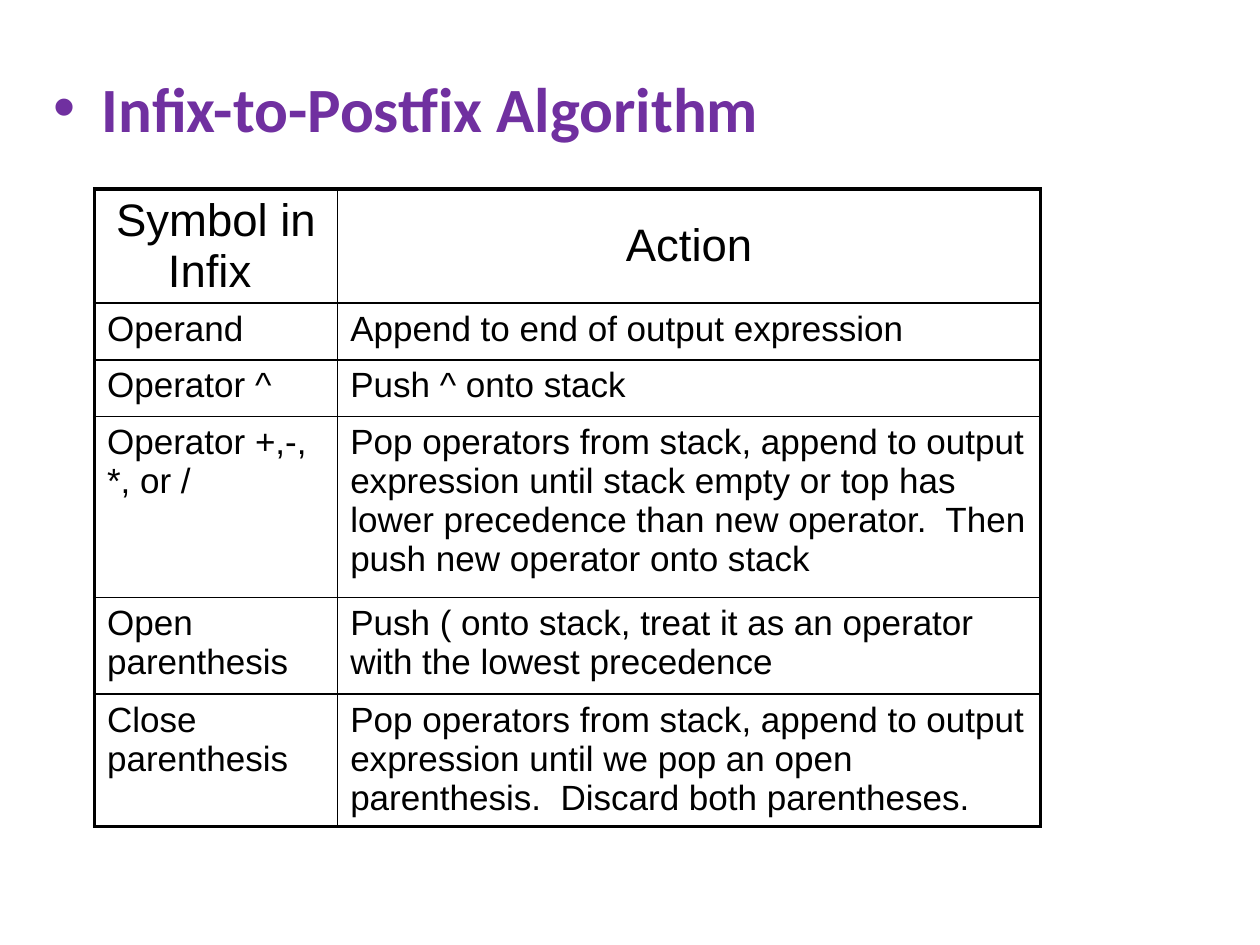
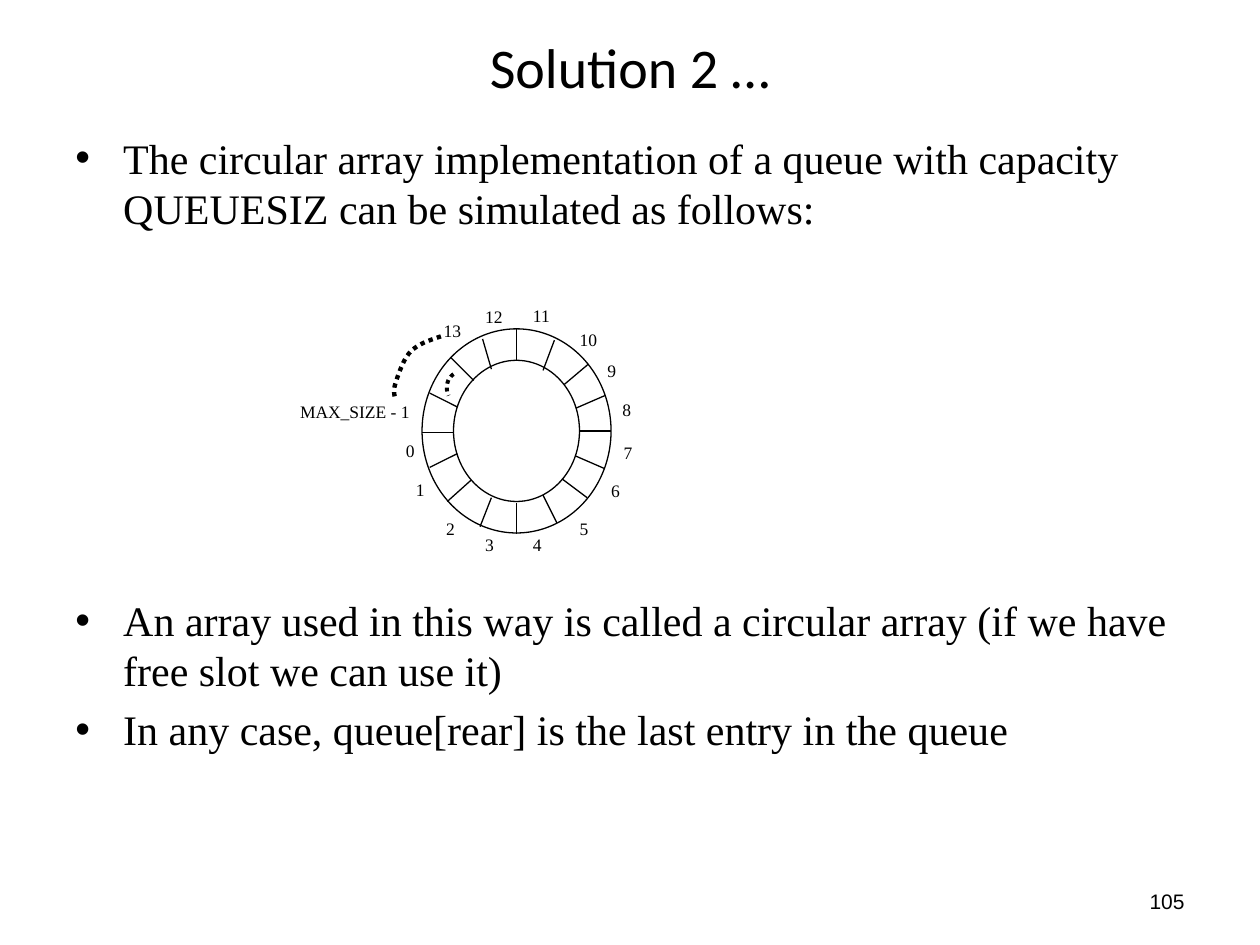
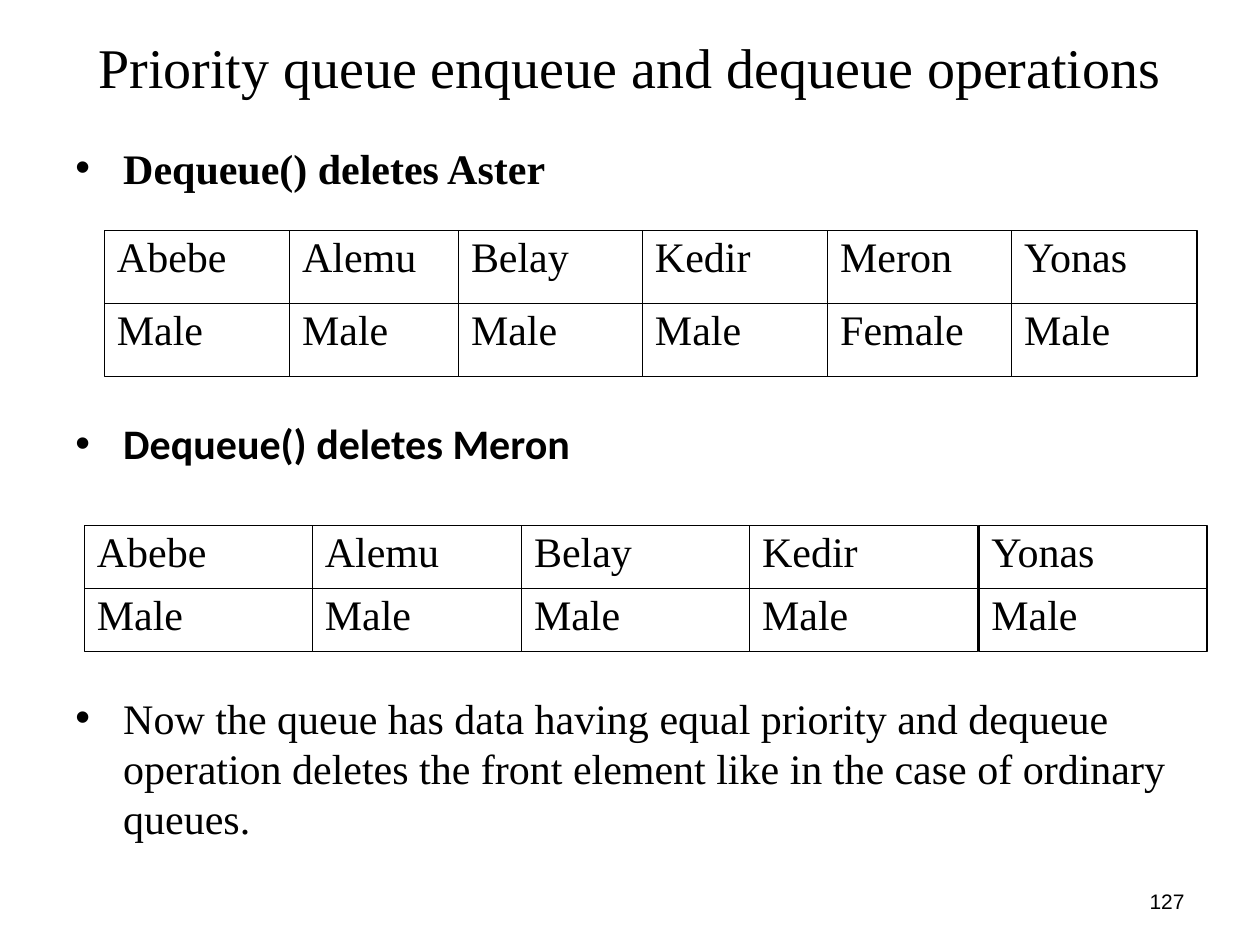
from lxml.etree import SubElement
from pptx import Presentation
from pptx.dml.color import RGBColor
from pptx.enum.dml import MSO_LINE_DASH_STYLE as Dash
from pptx.enum.shapes import MSO_CONNECTOR as Connector, MSO_SHAPE as Shape
from pptx.enum.text import MSO_ANCHOR as Anchor, PP_ALIGN as Align
from pptx.oxml.ns import qn
from pptx.util import Inches, Pt

# Shared style
BLACK = RGBColor(0x00, 0x00, 0x00)
WHITE = RGBColor(0xFF, 0xFF, 0xFF)
PURPLE = RGBColor(0x70, 0x30, 0xA0)
SANS, SERIF, HEADING = "Arial", "Times New Roman", "Calibri"
TITLE_BOX = (0.5, 0.3, 9, 0.45)
NUMBER_BOX = (7.17, 6.95, 2.33, 0.4)
BULLET_INDENT = 0.38
THIN = 0.75

# Slide 1: algorithm table
ALGORITHM_ROWS = [
    ("Symbol in Infix ", "Action"),
    ("Operand", "Append to end of output expression"),
    ("Operator ^", "Push ^ onto stack"),
    ("Operator +,-,\n*, or /",
     "Pop operators from stack, append to output expression until stack empty "
     "or top has lower precedence than new operator.  Then push new operator "
     "onto stack"),
    ("Open parenthesis",
     "Push ( onto stack, treat it as an operator with the lowest precedence"),
    ("Close parenthesis",
     "Pop operators from stack, append to output expression until we pop an "
     "open parenthesis.  Discard both parentheses."),
]
ALGORITHM_WIDTHS = [1.93, 5.58]
ALGORITHM_HEIGHTS = [0.9, 0.45, 0.45, 1.43, 0.77, 1.03]

# Slide 2: bullets as (text, space before in points, style changes)
CIRCULAR_BULLETS = [
    ("The circular array implementation of a queue with capacity QUEUESIZ can "
     "be simulated as follows:", 4.8, {}),
    ("An array used in this way is called a circular array (if we have free "
     "slot we can use it)", 206.5, {}),
    ("In any case, queue[rear] is the last entry in the queue", 4.8, {}),
]
RING_BOX = (3.35, 2.61, 1.5, 1.62)
RING_THICKNESS = 0.25
SLOT_DIVIDERS = [
    (4.1, 2.61, 4.1, 2.86), (4.6, 3.42, 4.85, 3.42), (3.35, 3.43, 3.6, 3.43),
    (4.1, 3.99, 4.1, 4.24), (3.9, 3.95, 3.81, 4.18), (3.74, 3.81, 3.55, 3.98),
    (3.63, 3.6, 3.41, 3.71), (3.41, 3.12, 3.63, 3.23), (4.8, 3.14, 4.57, 3.24),
    (3.58, 2.84, 3.76, 3.02), (3.83, 2.69, 3.9, 2.93), (4.4, 2.7, 4.31, 2.94),
    (4.67, 2.89, 4.48, 3.05), (4.31, 3.93, 4.42, 4.15), (4.46, 3.8, 4.66, 3.95),
    (4.57, 3.62, 4.8, 3.72),
]
# Slot labels as (text, left, top, width, height, alignment)
SLOT_LABELS = [
    ("0", 3.17, 3.49, 0.12, 0.12, Align.RIGHT),
    ("1", 3.25, 3.8, 0.12, 0.12, Align.RIGHT),
    ("2", 3.54, 4.11, 0.12, 0.12, Align.LEFT),
    ("3", 3.85, 4.24, 0.12, 0.12, Align.LEFT),
    ("4", 4.23, 4.24, 0.12, 0.12, Align.LEFT),
    ("5", 4.6, 4.11, 0.12, 0.12, Align.LEFT),
    ("6", 4.85, 3.81, 0.12, 0.12, Align.LEFT),
    ("7", 4.95, 3.51, 0.12, 0.12, Align.LEFT),
    ("8", 4.94, 3.17, 0.12, 0.12, Align.LEFT),
    ("9", 4.82, 2.86, 0.12, 0.12, Align.LEFT),
    ("10", 4.6, 2.61, 0.38, 0.12, Align.LEFT),
    ("11", 4.23, 2.42, 0.25, 0.12, Align.LEFT),
    ("12", 3.85, 2.43, 0.25, 0.12, Align.LEFT),
    ("13", 3.41, 2.54, 0.25, 0.12, Align.RIGHT),
    ("MAX_SIZE - 1", 2, 3.18, 1.25, 0.17, Align.RIGHT),
]
# Dotted curves as (line width, chain of Bezier points)
DOTTED_CURVES = [
    (2.25, [(3.6, 2.97), (3.55, 3), (3.53, 3.08), (3.56, 3.14)]),
    (2.5, [(3.5, 2.67), (3.41, 2.7), (3.32, 2.73), (3.26, 2.79), (3.2, 2.85),
           (3.16, 2.98), (3.14, 3.04), (3.12, 3.1), (3.13, 3.14), (3.14, 3.17)]),
]

# Slide 3: bullets and queue contents
PRIORITY_BULLETS = [
    ("Dequeue() deletes Aster", 4.8, {"bold": True}),
    ("Dequeue() deletes Meron", 128.6, {"bold": True, "font": HEADING}),
    ("Now the queue has data having equal priority and dequeue operation "
     "deletes the front element like in the case of ordinary queues.", 128, {}),
]
# Queues as (top, box width, box height, box lefts, rows)
QUEUES = [
    (1.83, 1.47, 0.58, [0.83, 2.3, 3.64, 5.1, 6.57, 8.03],
     [("Abebe", "Alemu", "Belay", "Kedir", "Meron", "Yonas"),
      ("Male", "Male", "Male", "Male", "Female", "Male")]),
    (4.17, 1.81, 0.5, [0.67, 2.48, 4.14, 5.95, 7.77],
     [("Abebe", "Alemu", "Belay", "Kedir", "Yonas"), ("Male",) * 5]),
]


def add_text(paragraph, text, size, font=SERIF, color=BLACK, bold=False):
    for index, line in enumerate(text.split("\n")):
        if index:
            paragraph.add_line_break()
        run = paragraph.add_run()
        run.text = line
        run.font.size = Pt(size)
        run.font.name = font
        run.font.bold = bold
        run.font.color.rgb = color


def add_box(slide, box):
    shape = slide.shapes.add_textbox(*map(Inches, box))
    shape.text_frame.word_wrap = True
    return shape.text_frame


def add_line_text(slide, box, text, size, font, alignment):
    frame = add_box(slide, box)
    frame.vertical_anchor = Anchor.MIDDLE
    frame.paragraphs[0].alignment = alignment
    add_text(frame.paragraphs[0], text, size, font)


def add_heading(slide, title, font, number):
    add_line_text(slide, NUMBER_BOX, number, 12, SANS, Align.RIGHT)
    add_line_text(slide, TITLE_BOX, title, 32, font, Align.CENTER)


def add_bullets(slide, box, bullets, size=24):
    frame = add_box(slide, box)
    for index, (text, space, style) in enumerate(bullets):
        paragraph = frame.add_paragraph() if index else frame.paragraphs[0]
        paragraph.space_before = Pt(space)
        properties = paragraph._p.get_or_add_pPr()
        properties.set("marL", str(Inches(BULLET_INDENT)))
        properties.set("indent", str(-Inches(BULLET_INDENT)))
        SubElement(properties, qn("a:buFont"), typeface=SANS)
        SubElement(properties, qn("a:buChar"), char="•")
        add_text(paragraph, text, size, **style)


def set_border(cell, side, width):
    line = SubElement(cell._tc.get_or_add_tcPr(), qn("a:ln" + side), w=str(Pt(width)))
    fill = SubElement(line, qn("a:solidFill"))
    SubElement(fill, qn("a:srgbClr"), val=str(BLACK))


def add_grid(slide, left, top, widths, heights, outer, inner):
    """Add a plain white table with outer and inner border widths."""
    table = slide.shapes.add_table(
        len(heights), len(widths), Inches(left), Inches(top),
        Inches(sum(widths)), Inches(sum(heights))).table
    table.first_row = table.horz_banding = False
    for column, width in zip(table.columns, widths):
        column.width = Inches(width)
    for row, height in zip(table.rows, heights):
        row.height = Inches(height)
    last_row, last_column = len(heights) - 1, len(widths) - 1
    for r, row in enumerate(table.rows):
        for c, cell in enumerate(row.cells):
            edges = (("L", c == 0), ("R", c == last_column),
                     ("T", r == 0), ("B", r == last_row))
            for side, on_edge in edges:
                set_border(cell, side, outer if on_edge else inner)
            cell.fill.solid()
            cell.fill.fore_color.rgb = WHITE
    return table


def add_plain_shape(slide, kind, box, outlined=True):
    shape = slide.shapes.add_shape(kind, *map(Inches, box))
    shape.shadow.inherit = False
    shape.fill.solid()
    shape.fill.fore_color.rgb = WHITE
    if outlined:
        shape.line.color.rgb = BLACK
        shape.line.width = Pt(THIN)
    else:
        shape.line.fill.background()
    return shape


def add_label(slide, box, text, size, alignment=Align.LEFT, side_margin=0, outlined=False):
    label = add_plain_shape(slide, Shape.RECTANGLE, box, outlined)
    frame = label.text_frame
    frame.word_wrap = True
    frame.vertical_anchor = Anchor.TOP
    frame.margin_left = frame.margin_right = Inches(side_margin)
    frame.margin_top = frame.margin_bottom = 0
    frame.paragraphs[0].alignment = alignment
    add_text(frame.paragraphs[0], text, size)


def bezier_points(chain, steps=12):
    """Sample a chain of cubic curves that share their end points."""
    points = [chain[0]]
    for start in range(0, len(chain) - 1, 3):
        controls = chain[start:start + 4]
        for step in range(1, steps + 1):
            t = step / steps
            weights = ((1 - t) ** 3, 3 * t * (1 - t) ** 2, 3 * t * t * (1 - t), t ** 3)
            points.append(tuple(
                sum(w * point[axis] for w, point in zip(weights, controls))
                for axis in (0, 1)))
    return points


def add_dotted_curve(slide, width, chain):
    points = [(Inches(x), Inches(y)) for x, y in bezier_points(chain)]
    builder = slide.shapes.build_freeform(*points[0])
    builder.add_line_segments(points[1:], close=False)
    curve = builder.convert_to_shape()
    curve.shadow.inherit = False
    curve.fill.background()
    curve.line.color.rgb = BLACK
    curve.line.width = Pt(width)
    curve.line.dash_style = Dash.ROUND_DOT


def build_algorithm(slide):
    add_bullets(slide, (0.33, 0.5, 9, 4.95),
                [("Infix-to-Postfix Algorithm", 7.2,
                  {"font": HEADING, "color": PURPLE, "bold": True})], size=36)
    table = add_grid(slide, 0.75, 1.5, ALGORITHM_WIDTHS, ALGORITHM_HEIGHTS, 2.25, 1)
    for r, texts in enumerate(ALGORITHM_ROWS):
        for c, text in enumerate(texts):
            cell = table.cell(r, c)
            paragraph = cell.text_frame.paragraphs[0]
            if r == 0:
                cell.vertical_anchor = Anchor.MIDDLE
                cell.margin_top = cell.margin_bottom = Inches(0.02)
                paragraph.alignment = Align.CENTER
            elif r == len(ALGORITHM_ROWS) - 1:
                cell.margin_bottom = 0
            add_text(paragraph, text, 20 if r else 26, SANS)


def build_circular_array(slide):
    add_heading(slide, "Solution 2 …", HEADING, "105")
    add_bullets(slide, (0.5, 1, 9, 6.08), CIRCULAR_BULLETS)

    # Ring and its slots
    ring = add_plain_shape(slide, Shape.DONUT, RING_BOX)
    ring.adjustments[0] = RING_THICKNESS / RING_BOX[2]
    for ends in SLOT_DIVIDERS:
        divider = slide.shapes.add_connector(Connector.STRAIGHT, *map(Inches, ends))
        divider.line.color.rgb = BLACK
        divider.line.width = Pt(THIN)
        SubElement(divider._element.spPr, qn("a:effectLst"))

    # Slot numbers and the dotted continuation
    for text, *box, alignment in SLOT_LABELS:
        add_label(slide, box, text, 10, alignment)
    for width, chain in DOTTED_CURVES:
        add_dotted_curve(slide, width, chain)


def build_priority_queue(slide):
    add_heading(slide, "Priority queue enqueue and dequeue operations", SERIF, "127")
    add_bullets(slide, (0.5, 1.08, 9, 5.83), PRIORITY_BULLETS)
    # Neighbouring boxes may overlap, so each entry is its own rectangle
    for top, width, height, lefts, rows in QUEUES:
        for r, texts in enumerate(rows):
            for left, text in zip(lefts, texts):
                add_label(slide, (left, top + r * height, width, height), text, 24,
                          side_margin=0.1, outlined=True)


def main():
    presentation = Presentation()
    presentation.slide_width = Inches(10)
    presentation.slide_height = Inches(7.5)
    blank = presentation.slide_layouts[6]
    for build in (build_algorithm, build_circular_array, build_priority_queue):
        build(presentation.slides.add_slide(blank))
    presentation.save("out.pptx")


if __name__ == "__main__":
    main()
